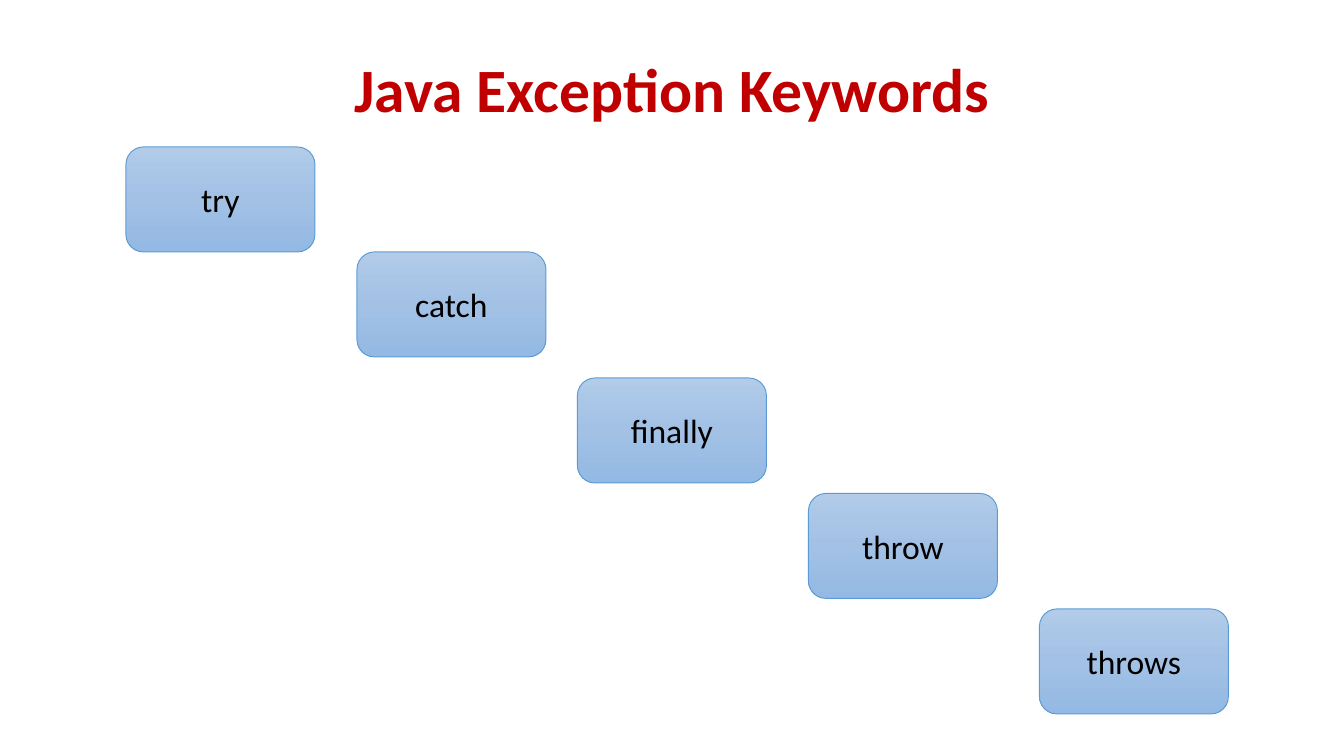
from copy import deepcopy
from dataclasses import dataclass

from pptx import Presentation
from pptx import util as u
from pptx.dml.color import RGBColor
from pptx.enum import shapes, text
from pptx.oxml.ns import qn

COLORS = {"title": "C00000", "text": "000000", "line": "5B9BD5",
          "top": "B1CBE9", "middle": "A3C1E5", "bottom": "93B9E4"}
GRADIENT = {0: "top", 0.5: "middle", 1: "bottom"}
UNIT = u.Inches(10) // 128
BOX_COLS, BOX_ROWS = 18, 10


@dataclass
class Keyword:
    word: str
    col: int
    row: int


KEYWORDS = [Keyword("try", 12, 14), Keyword("catch", 34, 24), Keyword("finally", 55, 36),
            Keyword("throw", 77, 47), Keyword("throws", 99, 58)]


def rgb(name: str) -> RGBColor:
    return RGBColor.from_string(COLORS[name])


def write(sp, words: str, *, size: float, color: str, bold: bool = False,
          spacing: float = 1.0) -> None:
    tf = sp.text_frame
    tf.word_wrap = True
    tf.auto_size = text.MSO_AUTO_SIZE.NONE
    tf.vertical_anchor = text.MSO_ANCHOR.MIDDLE
    p = tf.paragraphs[0]
    p.alignment = text.PP_ALIGN.CENTER
    p.line_spacing = spacing
    r = p.add_run()
    r.text = words
    r.font.name, r.font.size, r.font.bold = "Calibri", u.Pt(size), bold
    r.font.color.rgb = rgb(color)


def fill_gradient(sp) -> None:
    sp.fill.gradient()
    sp.fill.gradient_angle = 270
    stops = sp._element.spPr.find(qn("a:gradFill")).find(qn("a:gsLst"))
    stops.insert(1, deepcopy(stops[0]))
    for stop, (position, name) in zip(sp.fill.gradient_stops, GRADIENT.items()):
        stop.position = position
        stop.color.rgb = rgb(name)


def draw_keyword(s, keyword: Keyword) -> None:
    sp = s.shapes.add_shape(shapes.MSO_SHAPE.ROUNDED_RECTANGLE, keyword.col * UNIT,
                            keyword.row * UNIT, BOX_COLS * UNIT, BOX_ROWS * UNIT)
    sp.shadow.inherit = False
    fill_gradient(sp)
    sp.line.color.rgb = rgb("line")
    sp.line.width = u.Pt(0.5)
    write(sp, keyword.word, size=18, color="text")


def main() -> None:
    """Build the slide of Java exception keywords as descending steps."""
    prs = Presentation()
    prs.slide_width, prs.slide_height = 128 * UNIT, 72 * UNIT
    s = prs.slides.add_slide(prs.slide_layouts[5])
    title = s.shapes.title
    title.left, title.width = int(prs.slide_width * 0.069), int(prs.slide_width * 0.862)
    title.top, title.height = int(prs.slide_height * 0.053), int(prs.slide_height * 0.14)
    write(title, "Java Exception Keywords", size=33, color="title", bold=True, spacing=0.9)
    for keyword in KEYWORDS:
        draw_keyword(s, keyword)
    prs.save("out.pptx")


if __name__ == "__main__":
    main()
